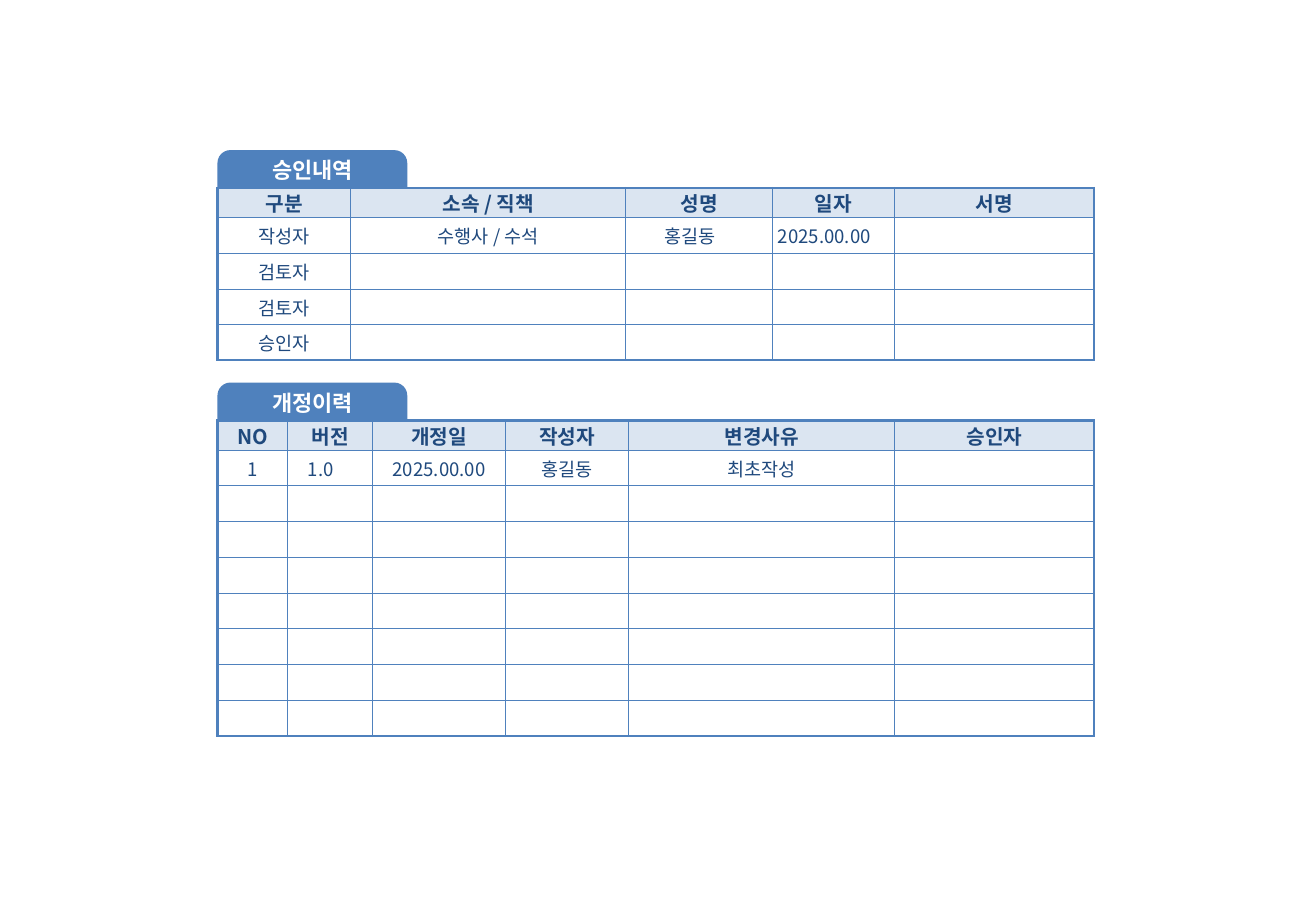
"""Build the approval and revision history slide."""
from dataclasses import dataclass

from lxml import etree
from pptx import Presentation
from pptx.dml.color import RGBColor
from pptx.enum import shapes, text
from pptx.oxml.ns import qn
from pptx.slide import Slide
from pptx.table import _Cell
from pptx.text.text import TextFrame
from pptx.util import Pt


@dataclass(frozen=True)
class Theme:
    font: str = "Noto Sans CJK KR"
    accent: str = "4F81BD"
    heading_fill: str = "DBE5F1"
    ink: str = "1F497D"
    white: str = "FFFFFF"
    tab_size: float = 13
    heading_size: float = 12
    body_size: float = 11
    frame_line: float = 1.5
    grid_line: float = 0.5


@dataclass(frozen=True)
class Section:
    title: str
    top: float
    widths: list[float]
    headings: list[str]
    entries: list[list[str]]


THEME = Theme()
LEFT, TAB_WIDTH, TAB_HEIGHT = 128.9, 112.5, 22.5
HEADING_HEIGHT, ENTRY_HEIGHT = 16, 21.2

SECTIONS = [
    Section(
        "승인내역", 89, [79, 163, 87, 72.5, 118.3],
        ["구분", "소속 / 직책", "성명", "일자", "서명"],
        [["작성자", "수행사 / 수석", "홍길동　", "2025.00.00　", ""]]
        + [[role, "", "", "", ""] for role in ("검토자", "검토자", "승인자")],
    ),
    Section(
        "개정이력", 226.8, [41.5, 50.5, 78.8, 73, 157.7, 118.3],
        ["NO", "버전", "개정일", "작성자", "변경사유", "승인자"],
        [["1", "1.0　", "2025.00.00", "홍길동", "최초작성", ""]] + [[""] * 6] * 7,
    ),
]


def write(frame: TextFrame, words: str, size: float, color: str, bold: bool) -> None:
    """Set centred text, keeping the type size in empty cells too."""
    frame.text = words
    line = frame.paragraphs[0]
    line.alignment = text.PP_ALIGN.CENTER
    for run in line.runs:
        run.font.size = Pt(size)
        run.font.bold = bold
        run.font.name = THEME.font
        run.font.color.rgb = RGBColor.from_string(color)
        etree.SubElement(run._r.get_or_add_rPr(), qn("a:ea"), typeface=THEME.font)
    if not words:
        etree.SubElement(line._p, qn("a:endParaRPr"), sz=str(int(size * 100)))


def draw_borders(cell: _Cell, outer_sides: dict[str, bool]) -> None:
    """Draw thick lines on outer sides and thin lines on the others."""
    properties = cell._tc.get_or_add_tcPr()
    for side, outer in outer_sides.items():
        width = Pt(THEME.frame_line if outer else THEME.grid_line)
        border = etree.SubElement(properties, qn(f"a:ln{side}"), w=str(width))
        fill = etree.SubElement(border, qn("a:solidFill"))
        etree.SubElement(fill, qn("a:srgbClr"), val=THEME.accent)


def draw_table(slide: Slide, section: Section) -> None:
    """Draw the grid of a section below its tab."""
    rows = [section.headings, *section.entries]
    heights = [HEADING_HEIGHT] + [ENTRY_HEIGHT] * len(section.entries)
    last_row, last_column = len(rows) - 1, len(section.widths) - 1
    table = slide.shapes.add_table(
        len(rows), len(section.widths), Pt(LEFT), Pt(section.top + TAB_HEIGHT),
        Pt(sum(section.widths)), Pt(sum(heights)),
    ).table
    table.first_row = table.horz_banding = False
    for column, width in zip(table.columns, section.widths):
        column.width = Pt(width)
    for r, entries in enumerate(rows):
        table.rows[r].height = Pt(heights[r])
        heading = r == 0
        size = THEME.heading_size if heading else THEME.body_size
        for c, words in enumerate(entries):
            cell = table.cell(r, c)
            cell.margin_left = cell.margin_right = Pt(0)
            cell.margin_top = cell.margin_bottom = Pt(0)
            cell.vertical_anchor = text.MSO_ANCHOR.MIDDLE
            draw_borders(cell, {"L": c == 0, "R": c == last_column,
                                "T": heading, "B": r == last_row})
            if heading:
                cell.fill.solid()
                cell.fill.fore_color.rgb = RGBColor.from_string(THEME.heading_fill)
            else:
                cell.fill.background()
            write(cell.text_frame, words, size, THEME.ink, heading)


def draw_tab(slide: Slide, section: Section) -> None:
    """Draw the rounded title tab of a section."""
    tab = slide.shapes.add_shape(
        shapes.MSO_SHAPE.ROUND_2_SAME_RECTANGLE,
        Pt(LEFT), Pt(section.top), Pt(TAB_WIDTH), Pt(TAB_HEIGHT),
    )
    tab.adjustments[0] = 0.34
    tab.adjustments[1] = 0
    tab.shadow.inherit = False
    tab.fill.solid()
    tab.fill.fore_color.rgb = RGBColor.from_string(THEME.accent)
    tab.line.fill.background()
    frame = tab.text_frame
    frame.margin_left = frame.margin_right = Pt(3)
    frame.margin_top, frame.margin_bottom = Pt(0), Pt(1.4)
    frame.vertical_anchor = text.MSO_ANCHOR.MIDDLE
    write(frame, section.title, THEME.tab_size, THEME.white, True)


def main() -> None:
    """Build and save the slide."""
    deck = Presentation()
    deck.slide_width, deck.slide_height = Pt(780), Pt(540)
    slide = deck.slides.add_slide(deck.slide_layouts[6])
    for draw in (draw_table, draw_tab):
        for section in SECTIONS:
            draw(slide, section)
    deck.save("out.pptx")


if __name__ == "__main__":
    main()
